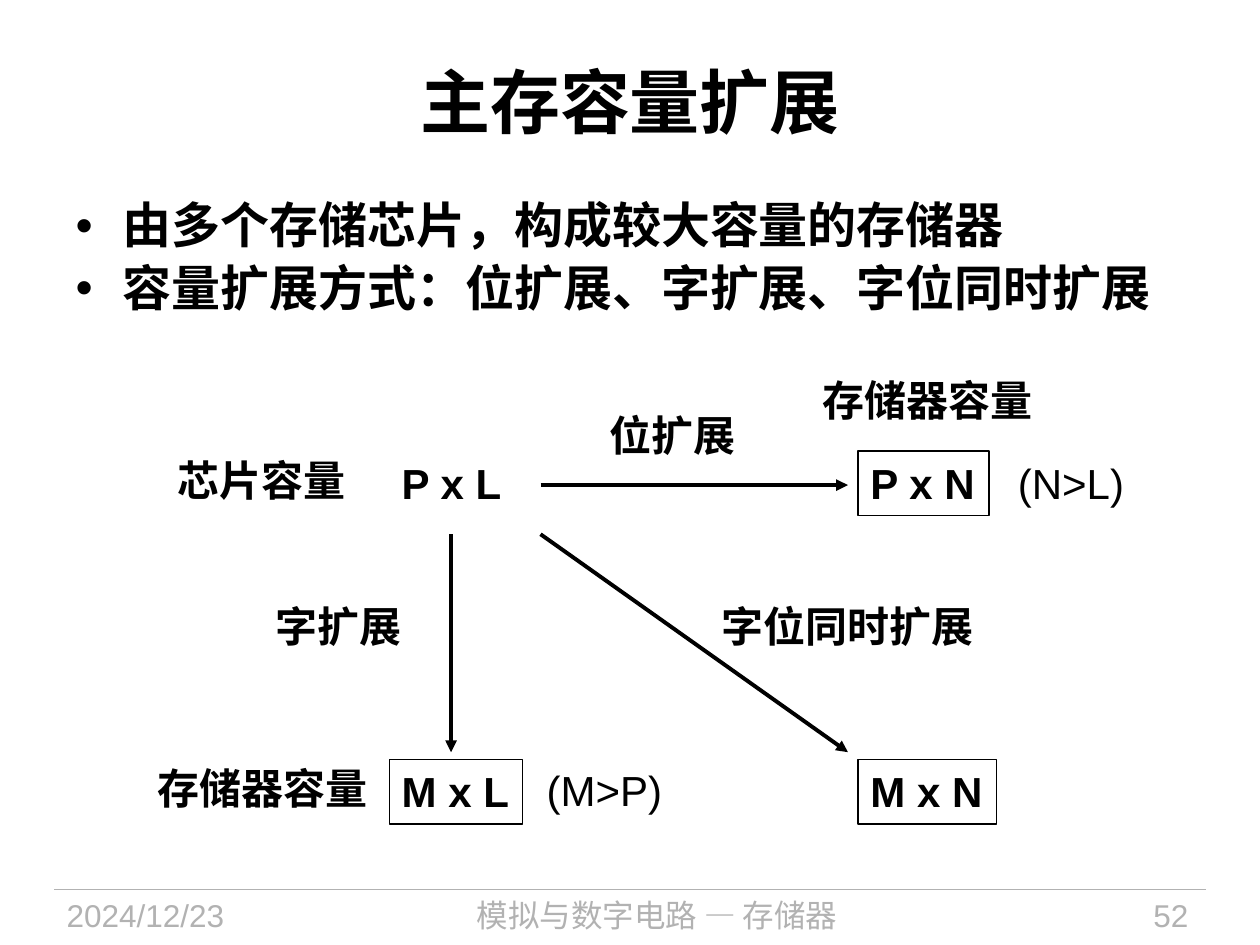
from pptx import Presentation
from pptx.dml.color import RGBColor
from pptx.enum.shapes import MSO_CONNECTOR, MSO_SHAPE
from pptx.enum.text import MSO_ANCHOR, PP_ALIGN
from pptx.oxml.ns import qn
from pptx.util import Inches, Pt
from lxml.etree import SubElement

BLACK = "000000"
GRAY = "B2B2B2"
CJK_FONT = "Noto Sans CJK SC"


def write_text(paragraph, text, size=24, font="Arial", color=BLACK, bold=True,
               align=PP_ALIGN.LEFT, line_spacing=1.0, space_after=0):
    paragraph.alignment = align
    paragraph.line_spacing = line_spacing
    paragraph.space_before = Pt(0)
    paragraph.space_after = Pt(space_after)
    run = paragraph.add_run()
    run.text = text
    run.font.name = font
    run.font.size = Pt(size)
    run.font.bold = bold
    run.font.color.rgb = RGBColor.from_string(color)
    SubElement(run.font._element, qn("a:ea")).set("typeface", CJK_FONT)


def add_line(start, end, color=BLACK, width=2.25, arrow=True):
    points = [Inches(value) for value in (*start, *end)]
    connector = slide.shapes.add_connector(MSO_CONNECTOR.STRAIGHT, *points)
    connector.line.color.rgb = RGBColor.from_string(color)
    connector.line.width = Pt(width)
    if arrow:
        SubElement(connector.line._get_or_add_ln(), qn("a:tailEnd")).set("type", "triangle")
    SubElement(connector._element.spPr, qn("a:effectLst"))


presentation = Presentation()
presentation.slide_width = Inches(10)
presentation.slide_height = Inches(7.5)
slide = presentation.slides.add_slide(presentation.slide_layouts[1])

add_line((0.43, 7.06), (9.57, 7.06), color=GRAY, width=0.75, arrow=False)
footers = [
    ("2024/12/23", 0.43, 1.88, "Arial", PP_ALIGN.LEFT),
    ("模拟与数字电路 — 存储器", 2.4, 5.63, CJK_FONT, PP_ALIGN.CENTER),
    ("52", 8.2, 1.33, "Arial", PP_ALIGN.RIGHT),
]
for text, left, width, font, align in footers:
    shape = slide.shapes.add_textbox(Inches(left), Inches(7.06), Inches(width), Inches(0.44))
    shape.text_frame.word_wrap = True
    write_text(shape.text_frame.paragraphs[0], text, size=18, font=font,
               color=GRAY, bold=False, align=align)

title = slide.shapes.title
title.left, title.top, title.width, title.height = [Inches(v) for v in (0.5, 0.17, 9, 1.25)]
title.text_frame.vertical_anchor = MSO_ANCHOR.MIDDLE
write_text(title.text_frame.paragraphs[0], "主存容量扩展", size=40,
           font="Times New Roman", align=PP_ALIGN.CENTER)

body = slide.placeholders[1]
body.left, body.top, body.width, body.height = [Inches(v) for v in (0.5, 1.55, 9, 1.97)]
points = ["由多个存储芯片，构成较大容量的存储器", "容量扩展方式：位扩展、字扩展、字位同时扩展"]
for index, text in enumerate(points):
    paragraph = body.text_frame.add_paragraph() if index else body.text_frame.paragraphs[0]
    write_text(paragraph, text, size=28, font="Times New Roman",
               line_spacing=0.9, space_after=5.6)

capacity_boxes = [("P x N", 6.81, 3.58, 1.04), ("M x L", 3.09, 6.03, 1.06),
                  ("M x N", 6.81, 6.03, 1.1)]
for text, left, top, width in capacity_boxes:
    shape = slide.shapes.add_shape(MSO_SHAPE.RECTANGLE, Inches(left), Inches(top),
                                   Inches(width), Inches(0.51))
    shape.shadow.inherit = False
    shape.fill.background()
    shape.line.color.rgb = RGBColor.from_string(BLACK)
    shape.line.width = Pt(0.75)
    shape.text_frame.word_wrap = False
    shape.text_frame.vertical_anchor = MSO_ANCHOR.TOP
    write_text(shape.text_frame.paragraphs[0], text)

for start, end in [((4.29, 3.85), (6.73, 3.85)), ((3.58, 4.24), (3.58, 5.97)),
                   ((4.29, 4.24), (6.73, 5.97))]:
    add_line(start, end)

labels = [
    ("P x L", 3.09, 3.58, 1, True),
    ("芯片容量", 1.31, 3.56, 1.56, True),
    ("位扩展", 4.74, 3.2, 1.22, True),
    ("字扩展", 2.09, 4.72, 1.22, True),
    ("字位同时扩展", 5.63, 4.72, 2.23, True),
    ("(N>L)", 7.98, 3.58, 1.05, False),
    ("(M>P)", 4.24, 6.02, 1.13, False),
]
for text, left, top, width, bold in labels:
    shape = slide.shapes.add_textbox(Inches(left), Inches(top), Inches(width), Inches(0.51))
    shape.text_frame.word_wrap = False
    write_text(shape.text_frame.paragraphs[0], text, bold=bold)

for left, top, width in [(6.43, 2.97, 2.08), (1.15, 6.05, 1.88)]:
    shape = slide.shapes.add_textbox(Inches(left), Inches(top), Inches(width), Inches(0.46))
    shape.text_frame.word_wrap = True
    write_text(shape.text_frame.paragraphs[0], "存储器容量", line_spacing=0.9)

presentation.save("out.pptx")
